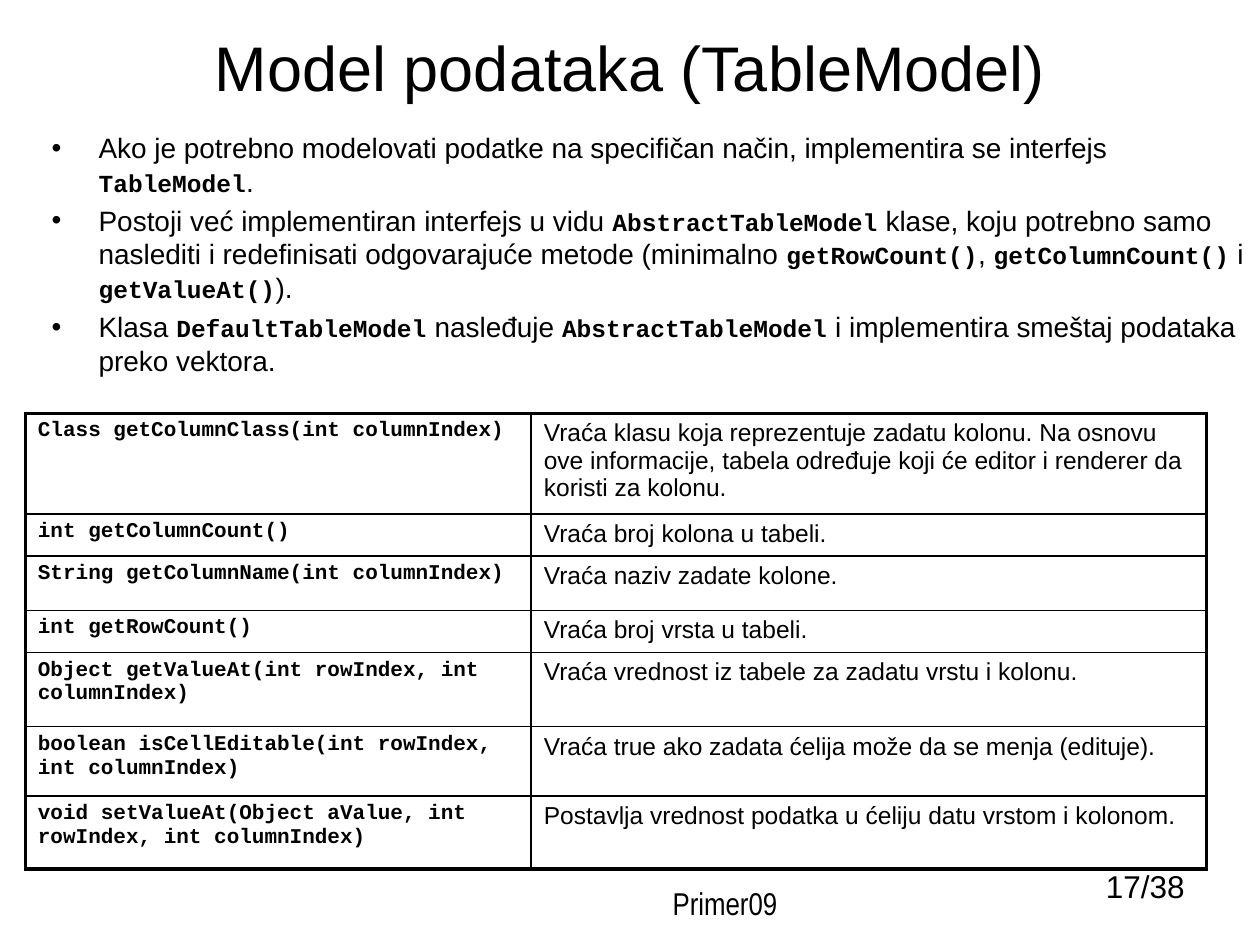
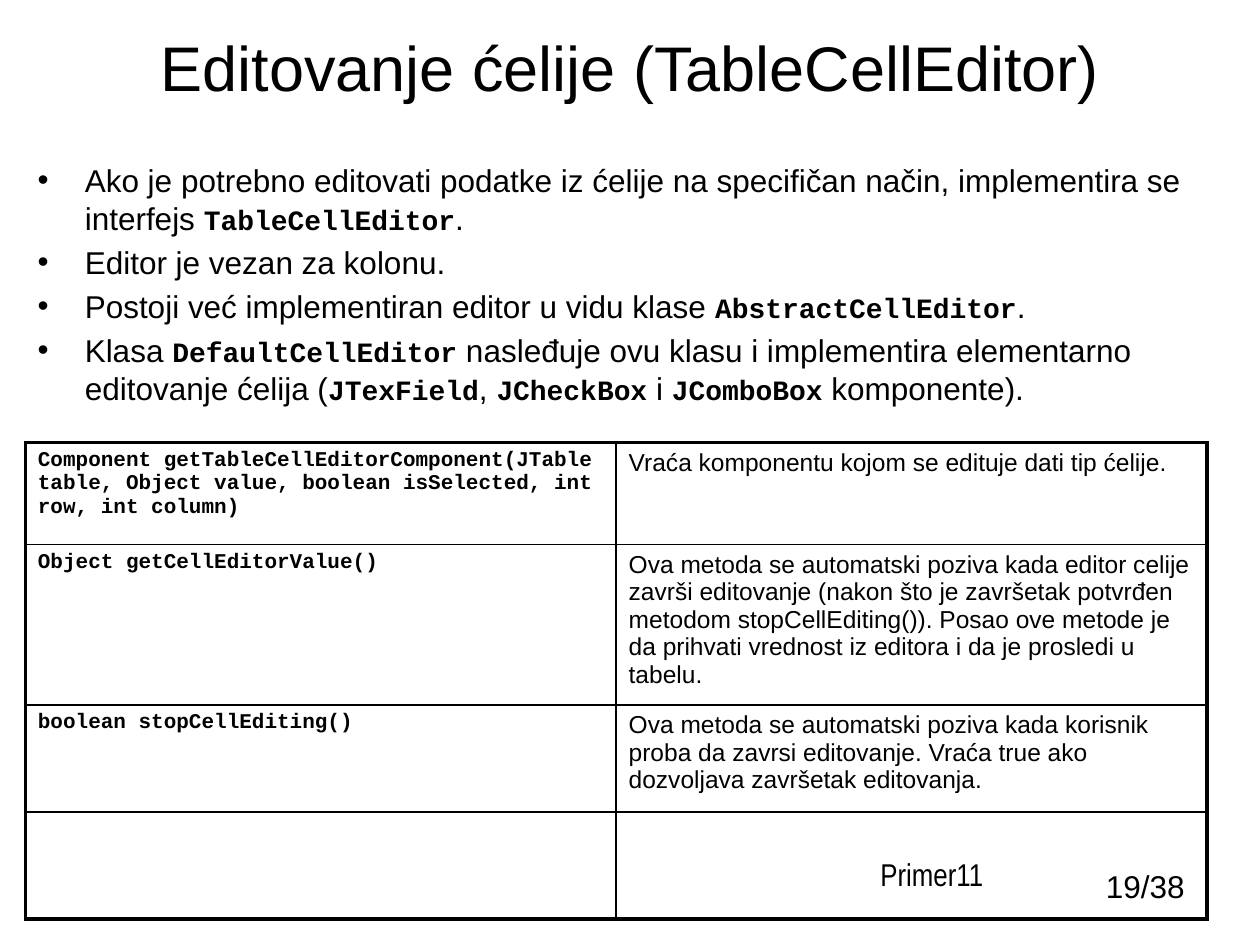
"""Builds two slides on table models and cell editors."""
from dataclasses import dataclass

from lxml.etree import SubElement
from pptx import Presentation
from pptx.dml.color import RGBColor
from pptx.enum.text import MSO_ANCHOR as Anchor, MSO_AUTO_SIZE as AutoSize, PP_ALIGN as Align
from pptx.oxml.ns import qn
from pptx.util import Cm, Pt

BLACK = RGBColor(0x00, 0x00, 0x00)
WHITE = RGBColor(0xFF, 0xFF, 0xFF)
TEXT_FONT, CODE_FONT, LABEL_FONT = "Arial", "Courier New", "Arial Narrow"
TITLE_SIZE, NOTE_SIZE, METHOD_SIZE, DESCRIPTION_SIZE = 36, 18, 12, 14
TITLE_ONLY = 5
HANGING = Cm(0.95)
OUTER_LINE, INNER_LINE = Pt(2.25), Pt(1)
TABLE_LEFT = 0.51


@dataclass(frozen=True)
class Area:
    left: float
    top: float
    width: float
    height: float

    def lengths(self) -> tuple:
        return Cm(self.left), Cm(self.top), Cm(self.width), Cm(self.height)


@dataclass(frozen=True)
class MethodTable:
    top: float
    columns: tuple
    row_heights: tuple
    methods: tuple


@dataclass(frozen=True)
class Topic:
    title: str
    page_number: str
    bullets: tuple
    bullet_size: int
    bullet_area: Area
    table: MethodTable
    example: str
    example_area: Area


TITLE_AREA = Area(1.9, 0.33, 21.6, 2.01)
PAGE_NUMBER_AREA = Area(17.5, 17.35, 6.63, 1.02)

TOPICS = (
    Topic(
        "Model podataka (TableModel)", "17/38",
        (
            "Ako je potrebno modelovati podatke na specifičan način, "
            "implementira se interfejs `TableModel`.",
            "Postoji već implementiran interfejs u vidu `AbstractTableModel` klase, "
            "koju potrebno samo naslediti i redefinisati odgovarajuće metode "
            "(minimalno `getRowCount()`, `getColumnCount()` i `getValueAt()`).",
            "Klasa `DefaultTableModel` nasleđuje `AbstractTableModel` "
            "i implementira smeštaj podataka preko vektora.",
        ),
        16, Area(0.79, 2.51, 24.61, 5.41),
        MethodTable(
            8.33, (10.2, 13.61), (2.03, 0.84, 1.09, 0.84, 1.5, 1.4, 1.47),
            (
                ("Class getColumnClass(int columnIndex)",
                 "Vraća klasu koja reprezentuje zadatu kolonu. Na osnovu ove informacije, "
                 "tabela određuje koji će editor i renderer da koristi za kolonu."),
                ("int getColumnCount()", "Vraća broj kolona u tabeli."),
                ("String getColumnName(int columnIndex)", "Vraća naziv zadate kolone."),
                ("int getRowCount()", "Vraća broj vrsta u tabeli."),
                ("Object getValueAt(int rowIndex, int columnIndex)",
                 "Vraća vrednost iz tabele za zadatu vrstu i kolonu."),
                ("boolean isCellEditable(int rowIndex, int columnIndex)",
                 "Vraća true ako zadata ćelija može da se menja (edituje)."),
                ("void setValueAt(Object aValue, int rowIndex, int columnIndex)",
                 "Postavlja vrednost podatka u ćeliju datu vrstom i kolonom."),
            ),
        ),
        "Primer09", Area(13.31, 17.7, 3, 1.02),
    ),
    Topic(
        "Editovanje ćelije (TableCellEditor)", "19/38",
        (
            "Ako je potrebno editovati podatke iz ćelije na specifičan način, "
            "implementira se interfejs `TableCellEditor`.",
            "Editor je vezan za kolonu.",
            "Postoji već implementiran editor u vidu klase `AbstractCellEditor`.",
            "Klasa `DefaultCellEditor` nasleđuje ovu klasu i implementira elementarno "
            "editovanje ćelija (`JTexField`, `JCheckBox` i `JComboBox` komponente).",
        ),
        18, Area(0.51, 3.12, 24.61, 5.21),
        MethodTable(
            8.92, (11.91, 11.91), (2.06, 3.23, 2.16, 2.16),
            (
                ("Component getTableCellEditorComponent(JTable table, Object value, "
                 "boolean isSelected, int row, int column)",
                 "Vraća komponentu kojom se edituje dati tip ćelije."),
                ("Object getCellEditorValue()",
                 "Ova metoda se automatski poziva kada editor celije završi editovanje "
                 "(nakon što je završetak potvrđen metodom stopCellEditing()). Posao ove "
                 "metode je da prihvati vrednost iz editora i da je prosledi u tabelu."),
                ("boolean stopCellEditing()",
                 "Ova metoda se automatski poziva kada korisnik proba da zavrsi editovanje. "
                 "Vraća true ako dozvoljava završetak editovanja."),
                ("", ""),
            ),
        ),
        "Primer11", Area(17.5, 17.12, 3, 1.02),
    ),
)


def style_font(font, name: str, size: int, bold: bool = False) -> None:
    font.name, font.size, font.bold = name, Pt(size), bold
    font.color.rgb = BLACK


def write_line(frame, text: str, name: str, size: int, bold: bool = False) -> None:
    frame.text = text
    for span in frame.paragraphs[0].runs:
        style_font(span.font, name, size, bold)


def add_title(page, text: str) -> None:
    title = page.shapes.title
    title.left, title.top, title.width, title.height = TITLE_AREA.lengths()
    frame = title.text_frame
    write_line(frame, text, TEXT_FONT, TITLE_SIZE)
    frame.auto_size = AutoSize.NONE
    frame.vertical_anchor = Anchor.MIDDLE
    frame.paragraphs[0].alignment = Align.CENTER


def add_frame(page, area: Area):
    frame = page.shapes.add_textbox(*area.lengths()).text_frame
    frame.word_wrap = True
    return frame


def add_note(page, area: Area, text: str, name: str, alignment: Align) -> None:
    frame = add_frame(page, area)
    write_line(frame, text, name, NOTE_SIZE)
    frame.paragraphs[0].alignment = alignment


def add_bullets(page, area: Area, bullets: tuple, size: int) -> None:
    frame = add_frame(page, area)
    for index, bullet in enumerate(bullets):
        para = frame.add_paragraph() if index else frame.paragraphs[0]
        properties = para._p.get_or_add_pPr()
        properties.set("marL", str(HANGING))
        properties.set("indent", str(-HANGING))
        SubElement(properties, qn("a:buFont"), typeface=TEXT_FONT)
        SubElement(properties, qn("a:buChar"), char="•")
        if index:
            para.space_before = Pt(size * 0.2)
        for part, text in enumerate(bullet.split("`")):
            span = para.add_run()
            span.text = text
            if part % 2:
                style_font(span.font, CODE_FONT, size - 2, True)
            else:
                style_font(span.font, TEXT_FONT, size)


def set_borders(cell, outer_sides: dict) -> None:
    properties = cell._tc.get_or_add_tcPr()
    for side, outer in outer_sides.items():
        width = OUTER_LINE if outer else INNER_LINE
        line = SubElement(properties, qn(f"a:ln{side}"), w=str(width))
        fill = SubElement(line, qn("a:solidFill"))
        SubElement(fill, qn("a:srgbClr"), val=str(BLACK))


def add_method_table(page, plan: MethodTable) -> None:
    area = Area(TABLE_LEFT, plan.top, sum(plan.columns), sum(plan.row_heights))
    row_count, column_count = len(plan.methods), len(plan.columns)
    table = page.shapes.add_table(row_count, column_count, *area.lengths()).table
    table.first_row = table.horz_banding = False
    for column, width in zip(table.columns, plan.columns):
        column.width = Cm(width)
    for row, height in zip(table.rows, plan.row_heights):
        row.height = Cm(height)
    styles = ((CODE_FONT, METHOD_SIZE, True), (TEXT_FONT, DESCRIPTION_SIZE, False))
    for row_index, method in enumerate(plan.methods):
        for column_index, (text, style) in enumerate(zip(method, styles)):
            cell = table.cell(row_index, column_index)
            write_line(cell.text_frame, text, *style)
            set_borders(cell, {
                "L": column_index == 0,
                "R": column_index == column_count - 1,
                "T": row_index == 0,
                "B": row_index == row_count - 1,
            })
            cell.fill.background()


def add_topic(deck, topic: Topic) -> None:
    page = deck.slides.add_slide(deck.slide_layouts[TITLE_ONLY])
    page.background.fill.solid()
    page.background.fill.fore_color.rgb = WHITE
    add_title(page, topic.title)
    add_note(page, PAGE_NUMBER_AREA, topic.page_number, TEXT_FONT, Align.RIGHT)
    add_bullets(page, topic.bullet_area, topic.bullets, topic.bullet_size)
    add_method_table(page, topic.table)
    add_note(page, topic.example_area, topic.example, LABEL_FONT, Align.LEFT)


def main() -> None:
    deck = Presentation()
    deck.slide_width, deck.slide_height = Cm(25.4), Cm(19.05)
    for topic in TOPICS:
        add_topic(deck, topic)
    deck.save("out.pptx")


if __name__ == "__main__":
    main()
